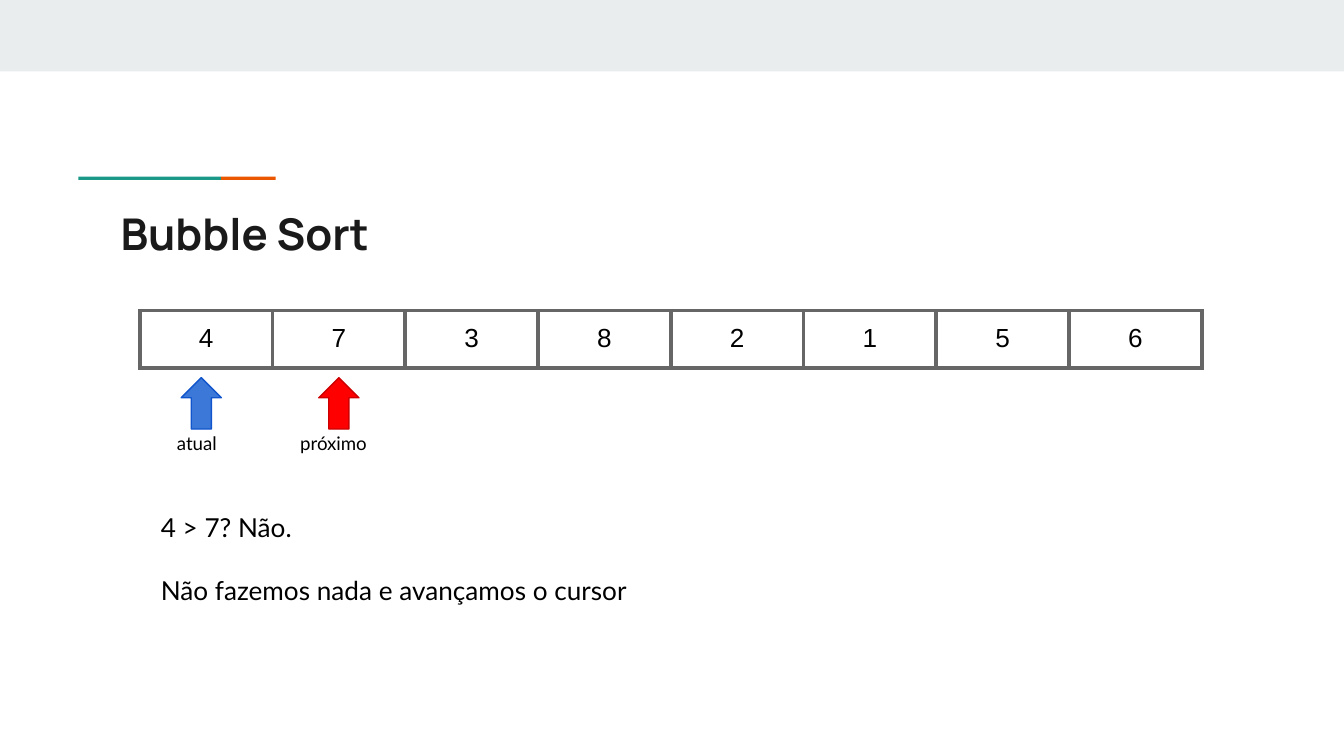
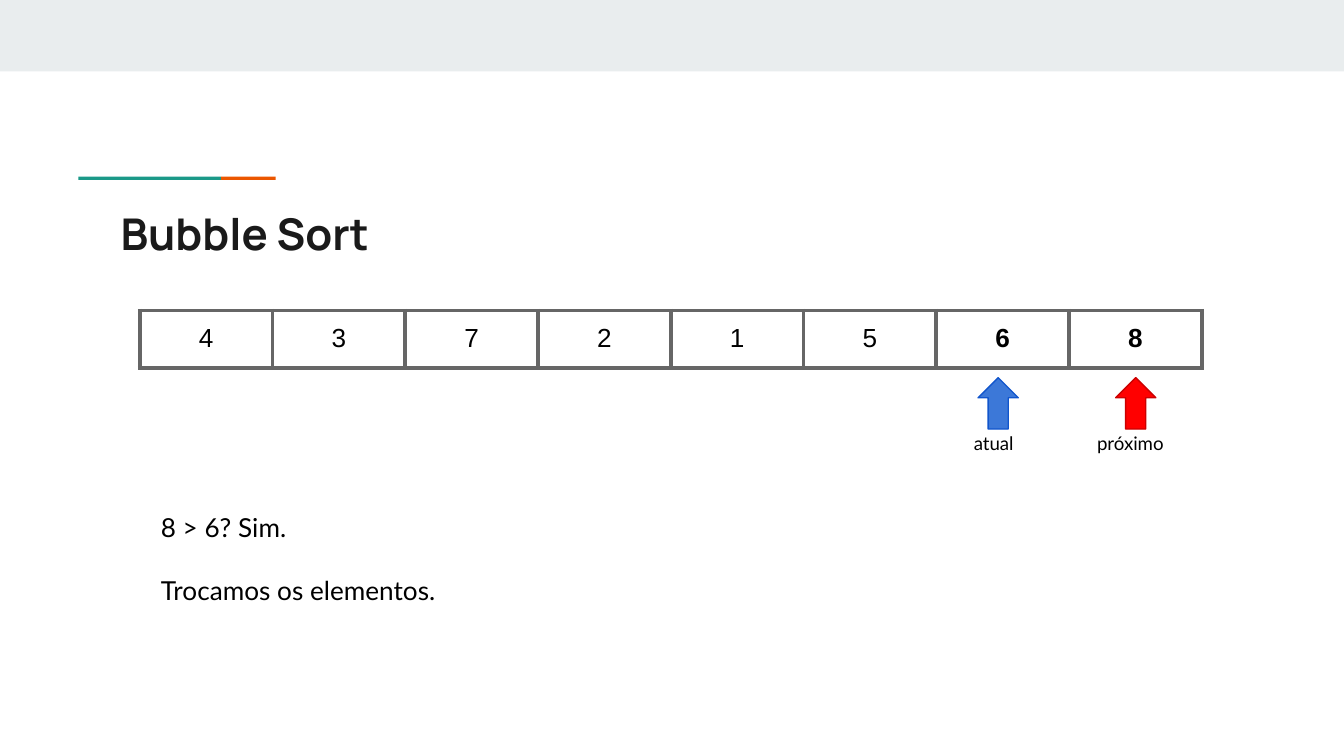
from lxml import etree
from pptx import Presentation
from pptx.dml.color import RGBColor
from pptx.enum.shapes import MSO_SHAPE
from pptx.enum.text import MSO_ANCHOR, MSO_AUTO_SIZE, PP_ALIGN
from pptx.oxml import parse_xml
from pptx.oxml.ns import nsdecls, qn
from pptx.util import Cm, Pt

RECTANGLE, UP_ARROW = MSO_SHAPE.RECTANGLE, MSO_SHAPE.UP_ARROW
TOP, MIDDLE = MSO_ANCHOR.TOP, MSO_ANCHOR.MIDDLE
LEFT, CENTER = PP_ALIGN.LEFT, PP_ALIGN.CENTER
NO_AUTOFIT = MSO_AUTO_SIZE.NONE
TITLE_AND_CONTENT = 1

BAND, TEAL, ORANGE = "E9EDEE", "1A9988", "EB5600"
BLACK, GRID = "000000", "666666"

TITLE_FONT = {"name": "Manrope", "size": Pt(23.4), "bold": True}
BODY_FONT = {"name": "Lato", "size": Pt(14)}
LABEL_FONT = {"name": "Lato", "size": Pt(10)}
CELL_FONT = {"name": "Arial", "size": Pt(14)}

# Array geometry, in centimetres
ARRAY_LEFT, ARRAY_TOP, CELL_WIDTH, CELL_HEIGHT = 2.64, 5.87, 2.51, 1.08
MARGINS = {f"margin_{side}": Cm(0.25) for side in ("left", "right", "top", "bottom")}

# label, label width, shift from the cell centre, fill, outline
POINTERS = [
    ("atual", 1.42, -0.09, "3C78D8", "1155CC"),
    ("próximo", 1.96, 0, "FF0000", "CC0000"),
]

# array, index of the current element, whether the pair was swapped, explanation
STEPS = [
    ([4, 7, 3, 8, 2, 1, 5, 6], 0, False,
     ["4 > 7? Não.", "Não fazemos nada e avançamos o cursor"]),
    ([4, 3, 7, 2, 1, 5, 6, 8], 6, True,
     ["8 > 6? Sim.", "Trocamos os elementos."]),
]


def color(hex_value):
    return RGBColor.from_string(hex_value)


def apply(target, values):
    for name, value in values.items():
        setattr(target, name, value)


def box(left, top, width, height):
    return Cm(left), Cm(top), Cm(width), Cm(height)


class Deck:
    def __init__(self):
        self.presentation = Presentation()
        apply(self.presentation, {"slide_width": Cm(25.4), "slide_height": Cm(14.29)})
        self.slide = None

    def new_slide(self):
        layout = self.presentation.slide_layouts[TITLE_AND_CONTENT]
        self.slide = self.presentation.slides.add_slide(layout)
        self.shape(RECTANGLE, box(0, 0, 25.4, 1.35), BAND)
        self.shape(RECTANGLE, box(1.48, 3.34, 2.7, 0.06), TEAL)
        self.shape(RECTANGLE, box(4.18, 3.34, 1.03, 0.06), ORANGE)

    def shape(self, preset, bounds, fill, outline=None, parent=None):
        shape = (parent or self.slide).shapes.add_shape(preset, *bounds)
        shape.shadow.inherit = False
        shape.fill.solid()
        shape.fill.fore_color.rgb = color(fill)
        if outline:
            shape.line.color.rgb = color(outline)
            shape.line.width = Pt(0.75)
        else:
            shape.line.fill.background()

    def add_run(self, paragraph, text, font, ink=BLACK):
        run = paragraph.add_run()
        run.text = text
        apply(run.font, font)
        run.font.color.rgb = color(ink)

    def fill_text(self, frame, lines, font, ink=BLACK, anchor=TOP, gap=0, wrap=True):
        """Fill a text frame with unbulleted lines, gap points apart."""
        apply(frame, {**MARGINS, "word_wrap": wrap, "auto_size": NO_AUTOFIT,
                      "vertical_anchor": anchor})
        for index, line in enumerate(lines):
            paragraph = frame.add_paragraph() if index else frame.paragraphs[0]
            properties = paragraph._p.get_or_add_pPr()
            for name in ("marL", "indent"):
                properties.set(name, "0")
            etree.SubElement(properties, qn("a:buNone"))
            apply(paragraph, {"alignment": LEFT, "space_before": Pt(gap if index else 0)})
            self.add_run(paragraph, line, font, ink)

    def placeholder(self, index, bounds, lines, font, **style):
        holder = self.slide.placeholders[index]
        apply(holder, dict(zip(("left", "top", "width", "height"), bounds)))
        self.fill_text(holder.text_frame, lines, font, **style)

    def array(self, values, bold_indexes):
        bounds = box(ARRAY_LEFT, ARRAY_TOP, CELL_WIDTH * len(values), CELL_HEIGHT)
        table = self.slide.shapes.add_table(1, len(values), *bounds).table
        apply(table, {"first_row": False, "horz_banding": False})
        for index, value in enumerate(values):
            table.columns[index].width = Cm(CELL_WIDTH)
            cell = table.cell(0, index)
            apply(cell, MARGINS)
            self.cell_borders(cell)
            cell.fill.background()
            paragraph = cell.text_frame.paragraphs[0]
            paragraph.alignment = CENTER
            self.add_run(paragraph, str(value), {**CELL_FONT, "bold": index in bold_indexes})

    def cell_borders(self, cell):
        properties = cell._tc.get_or_add_tcPr()
        for side in "LRTB":
            properties.append(parse_xml(
                f'<a:ln{side} {nsdecls("a")} w="{Pt(2.25)}"><a:solidFill>'
                f'<a:srgbClr val="{GRID}"/></a:solidFill></a:ln{side}>'))

    def pointer(self, index, label, label_width, shift, fill, outline):
        """Arrow and label below the array cell at index."""
        center = ARRAY_LEFT + CELL_WIDTH * (index + 0.5) + shift
        group = self.slide.shapes.add_group_shape()
        self.shape(UP_ARROW, box(center - 0.38, 7.14, 0.76, 0.97), fill, outline, group)
        caption = group.shapes.add_textbox(*box(center - label_width / 2, 7.92, label_width, 0.94))
        self.fill_text(caption.text_frame, [label], LABEL_FONT, wrap=False)


def main():
    deck = Deck()
    for values, current, swapped, explanation in STEPS:
        deck.new_slide()
        deck.placeholder(0, box(2.03, 3.66, 21.36, 1.5), ["Bubble Sort"], TITLE_FONT,
                         ink="1A1A1A", anchor=MIDDLE)
        deck.array(values, (current, current + 1) if swapped else ())
        deck.placeholder(1, box(2.79, 9.42, 19.84, 2.31), explanation, BODY_FONT, gap=16.8)
        for offset, pointer in enumerate(POINTERS):
            deck.pointer(current + offset, *pointer)
    deck.presentation.save("out.pptx")


if __name__ == "__main__":
    main()
